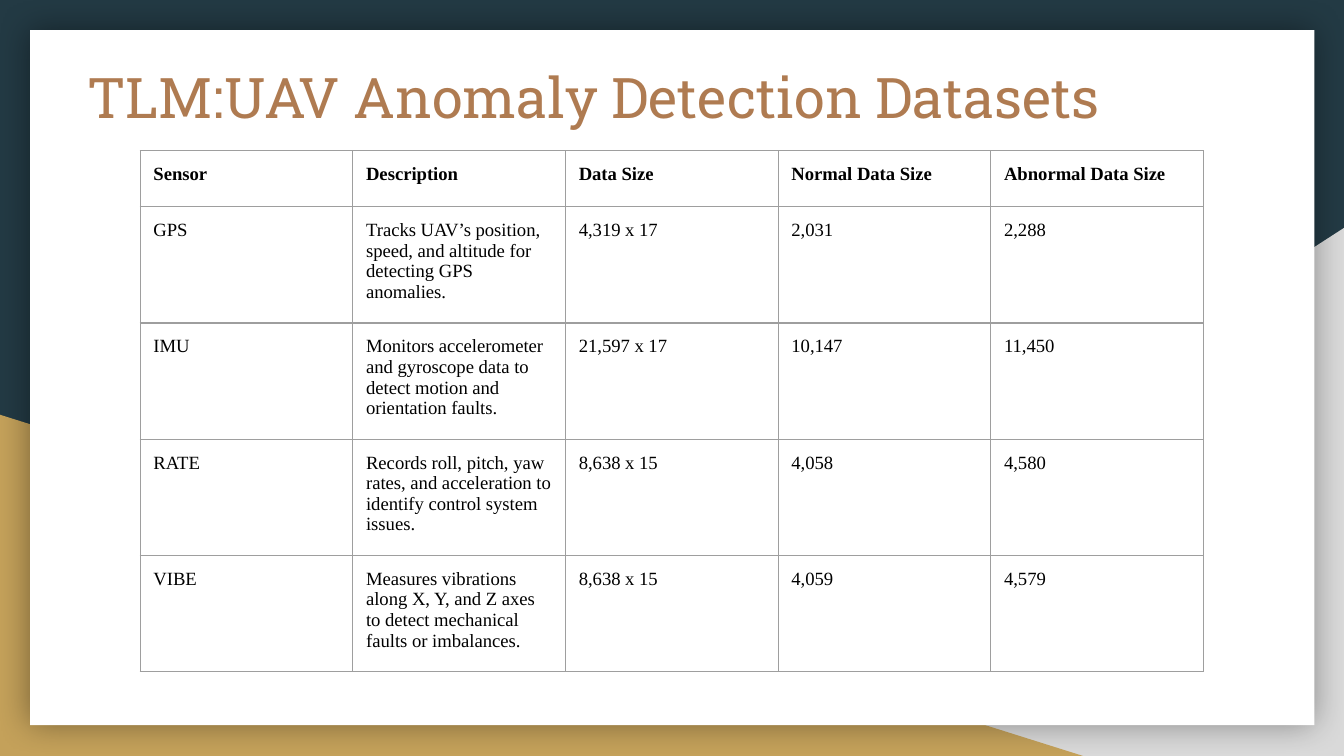
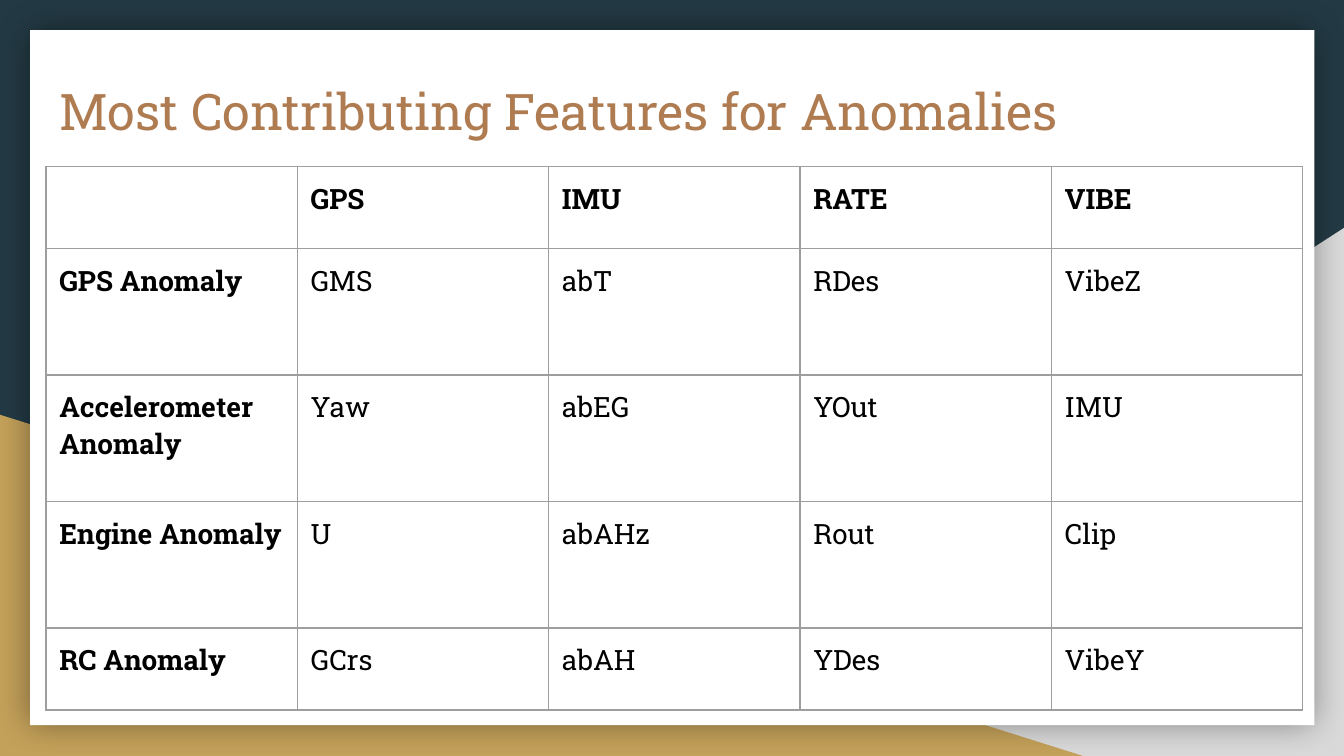
from dataclasses import dataclass

from lxml import etree
from pptx import Presentation
from pptx import util as u
from pptx.dml.color import RGBColor
from pptx.enum import shapes, text
from pptx.oxml import ns


@dataclass(frozen=True)
class Theme:
    backdrop: str = "233A44"
    grey: str = "D9D9D9"
    gold: str = "C4A15A"
    page: str = "FFFFFF"
    title: str = "AF7B51"
    ink: str = "000000"
    grid: str = "9E9E9E"
    slab: str = "Roboto Slab"
    serif: str = "Times New Roman"
    large_title: int = 30
    small_title: int = 27
    large_cell: int = 15
    small_cell: int = 10
    grid_width: float = 0.75
    shadow_blur: int = 18
    shadow_alpha: int = 40
    inset: float = 0.25


def sub(parent, tag, **attributes):
    """Append a DrawingML child element."""
    child = etree.SubElement(parent, ns.qn(tag))
    for name, value in attributes.items():
        child.set(name, str(value))
    return child


class Deck:
    """Holds the theme and the slide being filled; lengths are centimetres."""

    def __init__(self, theme):
        self.theme = theme
        self.prs = Presentation()
        self.prs.slide_width, self.prs.slide_height = u.Cm(25.4), u.Cm(14.29)
        self.slide = None

    def new_slide(self):
        theme = self.theme
        self.slide = self.prs.slides.add_slide(self.prs.slide_layouts[6])
        backdrop = self.slide.background.fill
        backdrop.solid()
        backdrop.fore_color.rgb = RGBColor.from_string(theme.backdrop)
        triangle = shapes.MSO_SHAPE.RIGHT_TRIANGLE
        grey_corner = self.block(triangle, (9.96, 4.31, 15.44, 9.98), theme.grey)
        grey_corner.element.spPr.xfrm.set("flipH", "1")
        self.block(triangle, (0, 7.84, 20.47, 6.45), theme.gold)
        page = self.block(shapes.MSO_SHAPE.RECTANGLE, (0.57, 0.57, 24.27, 13.14), theme.page)
        self.glow(page)

    def block(self, preset, box, color):
        shape = self.slide.shapes.add_shape(preset, *map(u.Cm, box))
        shape.shadow.inherit = False
        shape.fill.solid()
        shape.fill.fore_color.rgb = RGBColor.from_string(color)
        shape.line.fill.background()
        return shape

    def glow(self, shape):
        """Give the shape a soft shadow on all sides."""
        effects = shape.element.spPr.find(ns.qn("a:effectLst"))
        shadow = sub(effects, "a:outerShdw", blurRad=u.Pt(self.theme.shadow_blur),
                     dist=0, dir=0, algn="ctr", rotWithShape=0)
        color = sub(shadow, "a:srgbClr", val=self.theme.ink)
        sub(color, "a:alpha", val=self.theme.shadow_alpha * 1000)

    def add_words(self, paragraph, words, font, size, color, bold=False):
        run = paragraph.add_run()
        run.text = words
        run.font.name, run.font.size, run.font.bold = font, u.Pt(size), bold
        run.font.color.rgb = RGBColor.from_string(color)

    def pad(self, area):
        area.margin_left = area.margin_right = u.Cm(self.theme.inset)
        area.margin_top = area.margin_bottom = u.Cm(self.theme.inset)
        area.vertical_anchor = text.MSO_ANCHOR.TOP

    def title(self, words, box, size):
        frame = self.slide.shapes.add_textbox(*map(u.Cm, box)).text_frame
        frame.word_wrap = True
        self.pad(frame)
        self.add_words(frame.paragraphs[0], words, self.theme.slab, size, self.theme.title)

    def table(self, rows, corner, column_width, row_heights, font, size, bold_labels=False):
        columns = len(rows[0])
        grid = self.slide.shapes.add_table(
            len(rows), columns, *map(u.Cm, corner),
            u.Cm(column_width * columns), u.Cm(sum(row_heights))).table
        grid.first_row = grid.horz_banding = False
        for column in grid.columns:
            column.width = u.Cm(column_width)
        for r, (values, height) in enumerate(zip(rows, row_heights)):
            grid.rows[r].height = u.Cm(height)
            for c, value in enumerate(values):
                cell = grid.cell(r, c)
                self.pad(cell)
                self.outline(cell)
                cell.fill.background()
                if value:
                    bold = r == 0 or (bold_labels and c == 0)
                    self.add_words(cell.text_frame.paragraphs[0], value, font, size,
                                   self.theme.ink, bold)

    def outline(self, cell):
        properties = cell._tc.get_or_add_tcPr()
        for side in "LRTB":
            line = sub(properties, f"a:ln{side}", w=u.Pt(self.theme.grid_width))
            sub(sub(line, "a:solidFill"), "a:srgbClr", val=self.theme.grid)


DATASETS = [
    ("Sensor", "Description", "Data Size", "Normal Data Size", "Abnormal Data Size"),
    ("GPS", "Tracks UAV’s position, speed, and altitude for detecting GPS anomalies.",
     "4,319 x 17", "2,031", "2,288"),
    ("IMU", "Monitors accelerometer and gyroscope data to detect motion and orientation faults.",
     "21,597 x 17", "10,147", "11,450"),
    ("RATE", "Records roll, pitch, yaw rates, and acceleration to identify control system issues.",
     "8,638 x 15", "4,058", "4,580"),
    ("VIBE", "Measures vibrations along X, Y, and Z axes to detect mechanical faults or imbalances.",
     "8,638 x 15", "4,059", "4,579"),
]

FEATURES = [
    ("", "GPS", "IMU", "RATE", "VIBE"),
    ("GPS Anomaly", "GMS", "abT", "RDes", "VibeZ"),
    ("Accelerometer Anomaly", "Yaw", "abEG", "YOut", "IMU"),
    ("Engine Anomaly", "U", "abAHz", "Rout", "Clip"),
    ("RC Anomaly", "GCrs", "abAH", "YDes", "VibeY"),
]


def main():
    theme = Theme()
    deck = Deck(theme)

    deck.new_slide()
    deck.title("TLM:UAV Anomaly Detection Datasets", (1.4, 0.94, 20.85, 2.64),
               theme.large_title)
    deck.table(DATASETS, (2.65, 2.85), 4.02, [1.06] * len(DATASETS),
               theme.serif, theme.small_cell)

    deck.new_slide()
    deck.title("Most Contributing Features for Anomalies", (0.87, 1.27, 21.8, 2.64),
               theme.small_title)
    deck.table(FEATURES, (0.87, 3.15), 4.75, [1.55, 2.39, 2.39, 2.39, 1.55],
               theme.slab, theme.large_cell, bold_labels=True)

    deck.prs.save("out.pptx")


if __name__ == "__main__":
    main()
